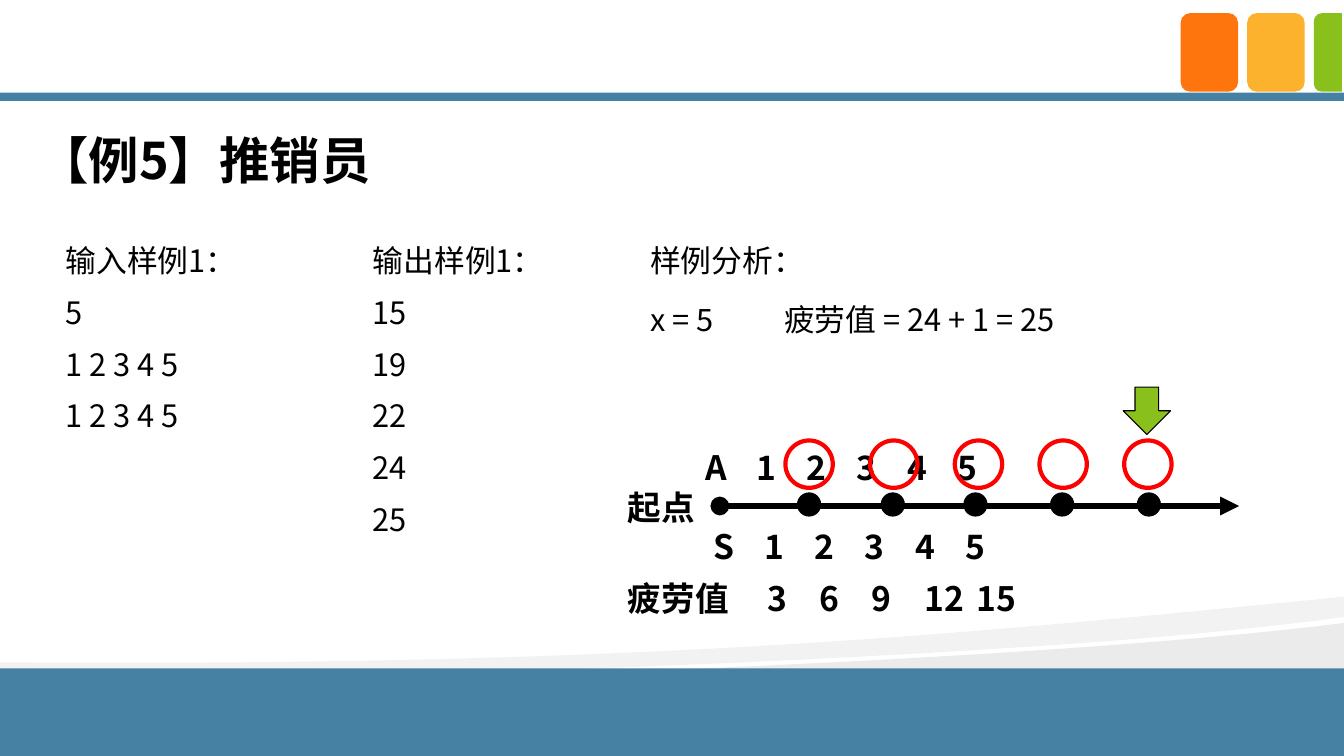
"""Build the slide for example 5, the salesman problem, with its sample analysis."""
from lxml.etree import SubElement
from pptx import Presentation
from pptx.dml.color import RGBColor
from pptx.enum.shapes import MSO_CONNECTOR, MSO_SHAPE as SHAPE
from pptx.enum.text import MSO_ANCHOR, MSO_AUTO_SIZE, PP_ALIGN
from pptx.oxml.ns import qn
from pptx.util import Inches, Pt

FONT = "Noto Sans CJK SC"
COLORS = {"ink": "000000", "blue": "4681A3", "orange": "FE750E",
          "amber": "FCB22C", "green": "89C01C", "ring": "FF0000"}


def color(name):
    return RGBColor.from_string(COLORS[name])


def add_swoosh(slide, points, curve_starts, alpha):
    outline = [(Inches(x), Inches(y)) for x, y in points]
    builder = slide.shapes.build_freeform(*outline[0], scale=1.0)
    builder.add_line_segments(outline[1:], close=True)
    swoosh = builder.convert_to_shape()
    swoosh.shadow.inherit = False
    swoosh.fill.solid()
    swoosh.fill.fore_color.rgb = color("ink")
    swoosh.line.fill.background()
    tint = swoosh.fill._xPr.find(qn("a:solidFill"))[0]
    SubElement(tint, qn("a:alpha"), val=str(alpha * 1000))
    segments = list(swoosh._element.spPr.iter(qn("a:lnTo")))
    for start in curve_starts:
        first, second, last = segments[start:start + 3]
        first.tag = qn("a:cubicBezTo")
        for segment in (second, last):
            first.append(segment[0])
            segment.getparent().remove(segment)


def add_figure(slide, kind, box, fill=None, line=None, width=0.75):
    figure = slide.shapes.add_shape(kind, *map(Inches, box))
    figure.shadow.inherit = False
    if fill:
        figure.fill.solid()
        figure.fill.fore_color.rgb = color(fill)
    else:
        figure.fill.background()
    if line:
        figure.line.color.rgb = color(line)
        figure.line.width = Pt(width)
    else:
        figure.line.fill.background()
    return figure


def add_axis(slide, start, end):
    axis = slide.shapes.add_connector(MSO_CONNECTOR.STRAIGHT,
                                      *map(Inches, start + end))
    axis.line.color.rgb = color("ink")
    axis.line.width = Pt(4.5)
    outline = axis.line._get_or_add_ln()
    SubElement(outline, qn("a:headEnd"), type="oval")
    SubElement(outline, qn("a:tailEnd"), type="triangle")
    SubElement(axis._element.spPr, qn("a:effectLst"))


def write(frame, lines, size, bold=False, spacing=(1,), hanging=0, tab=0.5):
    frame.word_wrap = True
    frame.auto_size = MSO_AUTO_SIZE.NONE
    frame.vertical_anchor = MSO_ANCHOR.TOP
    for i, line in enumerate(lines):
        paragraph = frame.paragraphs[0] if i == 0 else frame.add_paragraph()
        paragraph.text = line
        paragraph.alignment = PP_ALIGN.LEFT
        paragraph.line_spacing = spacing[min(i, len(spacing) - 1)]
        paragraph.space_before = Pt(0)
        properties = paragraph._p.get_or_add_pPr()
        properties.set("marL", str(Inches(hanging)))
        properties.set("indent", str(-Inches(hanging)))
        properties.set("defTabSz", str(Inches(tab)))
        SubElement(properties, qn("a:buNone"))
        font = paragraph.font
        font.name = FONT
        font.size = Pt(size)
        font.bold = bold
        font.color.rgb = color("ink")
        SubElement(font._element, qn("a:ea"), typeface=FONT)


def add_text(slide, box, lines, size, **style):
    write(slide.shapes.add_textbox(*map(Inches, box)).text_frame,
          lines, size, **style)


def fill_placeholder(holder, box, lines, size, **style):
    holder.left, holder.top, holder.width, holder.height = map(Inches, box)
    write(holder.text_frame, lines, size, **style)


def add_backdrop(slide):
    add_swoosh(slide, [(13.33, 7.5), (0, 7.5), (0, 6.75),
                       (3.52, 6.83), (10.42, 6.55), (13.33, 6.18)], (2,), 8)
    add_swoosh(slide, [(13.33, 5.92), (13.33, 6.12),
                       (12.55, 6.23), (11.49, 6.33), (10.29, 6.41),
                       (6.98, 6.63), (2.58, 6.77), (0, 6.71), (0, 6.57),
                       (6.52, 6.62), (9.71, 6.27), (13.33, 5.92)], (1, 4, 8), 5)
    for top, height in ((6.63, 0.87), (0.92, 0.08)):
        add_figure(slide, SHAPE.RECTANGLE, (-0.03, top, 13.4, height), "blue")
    for left, fill in ((11.71, "orange"), (12.37, "amber")):
        add_figure(slide, SHAPE.ROUNDED_RECTANGLE, (left, 0.13, 0.57, 0.78), fill)
    edge_tab = add_figure(slide, SHAPE.ROUND_2_SAME_RECTANGLE,
                          (12.78, 0.38, 0.78, 0.28), "green")
    edge_tab.adjustments[0] = 0.29
    edge_tab.rotation = 270


def add_street(slide):
    add_axis(slide, (7.14, 5.02), (12.29, 5.02))
    for left in (7.91, 8.74, 9.56, 10.42, 11.28):
        add_figure(slide, SHAPE.OVAL, (left, 4.89, 0.23, 0.23), "ink", "ink")
    add_text(slide, (6.98, 5.17, 5.23, 0.5), ["S\t1\t2\t3\t4\t5"], 24, bold=True)
    add_text(slide, (6.9, 4.38, 5.39, 0.5), ["A\t1\t2\t3\t4\t5"], 24, bold=True)
    add_text(slide, (6.13, 4.78, 0.94, 0.5), ["起点"], 24, bold=True)
    add_text(slide, (6.13, 5.68, 6.02, 0.5), ["疲劳值\t3\t6\t9\t12\t15"], 24,
             bold=True, hanging=0.86, tab=0.52)
    for i in range(5):
        add_figure(slide, SHAPE.OVAL, (7.79 + 0.84 * i, 4.37, 0.47, 0.47),
                   line="ring", width=3)
    add_figure(slide, SHAPE.DOWN_ARROW, (11.14, 3.84, 0.47, 0.47), "green", "ink")


def main():
    deck = Presentation()
    deck.slide_width, deck.slide_height = Inches(13.33), Inches(7.5)
    slide = deck.slides.add_slide(deck.slide_layouts[1])
    add_backdrop(slide)
    fill_placeholder(slide.shapes.title, (0.28, 0.63, 7.26, 1.31),
                     ["【例5】推销员"], 36, bold=True, spacing=(2.0,))
    add_street(slide)
    sample_spacing = (1.6, 1.4)
    fill_placeholder(slide.placeholders[1], (0.55, 2.13, 3.2, 3.09),
                     ["输入样例1：", "5", "1 2 3 4 5", "1 2 3 4 5"], 22,
                     spacing=sample_spacing)
    add_text(slide, (3.6, 2.13, 2.89, 3.38),
             ["输出样例1：", "15", "19", "22", "24", "25"], 22,
             spacing=sample_spacing)
    add_text(slide, (6.35, 2.13, 4.95, 1.23),
             ["样例分析：", "x = 5\t疲劳值 = 24 + 1 = 25"], 22,
             spacing=(1.6,), hanging=0.33, tab=1)
    deck.save("out.pptx")


if __name__ == "__main__":
    main()
